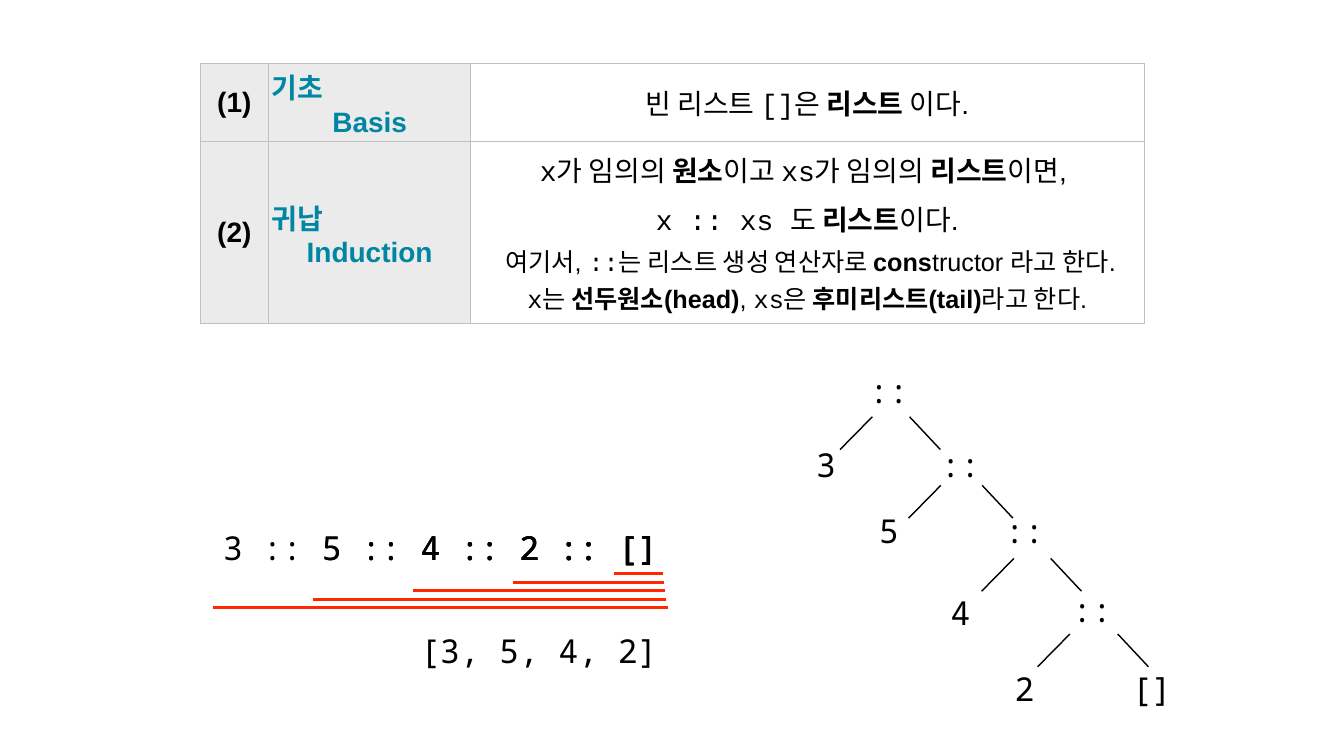
from lxml import etree
from pptx import Presentation
from pptx.dml.color import RGBColor
from pptx.enum.shapes import MSO_CONNECTOR
from pptx.enum.text import MSO_ANCHOR, MSO_AUTO_SIZE, PP_ALIGN
from pptx.oxml.ns import qn
from pptx.util import Inches, Pt

BLACK = RGBColor(0x00, 0x00, 0x00)
WHITE = RGBColor(0xFF, 0xFF, 0xFF)
GRAY = RGBColor(0xEB, 0xEB, 0xEB)
TEAL = RGBColor(0x00, 0x86, 0xA2)
RED = RGBColor(0xFF, 0x26, 0x00)
BORDER = RGBColor(0xC0, 0xC0, 0xC0)
LEFT, CENTER = PP_ALIGN.LEFT, PP_ALIGN.CENTER
MIDDLE = MSO_ANCHOR.MIDDLE
GROW = MSO_AUTO_SIZE.SHAPE_TO_FIT_TEXT
STRAIGHT = MSO_CONNECTOR.STRAIGHT
SANS, CODE, MONO = "Arial", "Courier New", "Noto Sans Mono"

presentation = Presentation()
presentation.slide_width = Inches(26.67)
presentation.slide_height = Inches(15)
slide = presentation.slides.add_slide(presentation.slide_layouts[6])


def add_run(paragraph, text, size, font, bold=False, color=BLACK):
    run = paragraph.add_run()
    run.text = text
    run.font.size = Pt(size)
    run.font.name = font
    run.font.bold = bold
    run.font.color.rgb = color


def add_line(x1, y1, x2, y2, color, width):
    line = slide.shapes.add_connector(
        STRAIGHT, Inches(x1), Inches(y1), Inches(x2), Inches(y2))
    line.line.color.rgb = color
    line.line.width = Pt(width)
    etree.SubElement(line._element.spPr, qn("a:effectLst"))


# Definition table: a cell is a list of (alignment, line spacing, runs),
# a run is (text, size, font, bold, colour)
definition_rows = [
    [
        [(CENTER, 1, [("(1)", 40, SANS, True)])],
        [(LEFT, 1, [("기초", 40, SANS, True, TEAL)]),
         (CENTER, 1, [("Basis", 40, SANS, True, TEAL)])],
        [(CENTER, 1, [("빈 리스트 ", 40, SANS), ("[]", 40, CODE), ("은 ", 40, SANS),
                      ("리스트", 40, SANS, True), (" 이다.", 40, SANS)])],
    ],
    [
        [(CENTER, 1, [("(2)", 40, SANS, True)])],
        [(LEFT, 1, [("귀납", 40, SANS, True, TEAL)]),
         (CENTER, 1, [("Induction", 40, SANS, True, TEAL)])],
        [(CENTER, 1, [("x", 40, CODE), ("가 임의의 ", 40, SANS), ("원소", 40, SANS, True),
                      ("이고 ", 40, SANS), ("xs", 40, CODE), ("가 임의의 ", 40, SANS),
                      ("리스트", 40, SANS, True), ("이면, ", 40, SANS)]),
         (CENTER, 1.2, [("x :: xs ", 40, CODE), ("도 ", 40, SANS),
                        ("리스트", 40, SANS, True), ("이다.", 40, SANS)]),
         (CENTER, 1, [(" ", 40, SANS), ("여기서, ", 36, SANS), ("::", 36, CODE),
                      ("는 리스트 생성 연산자로 ", 36, SANS), ("cons", 36, SANS, True),
                      ("tructor 라고 한다.", 36, SANS)]),
         (CENTER, 1, [("x", 36, CODE), ("는 ", 36, SANS),
                      ("선두원소(head)", 36, SANS, True), (", ", 36, SANS),
                      ("xs", 36, CODE), ("은 ", 36, SANS),
                      ("후미리스트(tail)", 36, SANS, True), ("라고 한다.", 36, SANS)])],
    ],
]
table = slide.shapes.add_table(
    2, 3, Inches(3.97), Inches(1.26), Inches(18.73), Inches(5.1)).table
table.first_row = False
table.horz_banding = False
for column, width in zip(table.columns, (1.36, 4.01, 13.36)):
    column.width = Inches(width)
for row, height in zip(table.rows, (1.48, 3.62)):
    row.height = Inches(height)

for row_index, cells in enumerate(definition_rows):
    for column_index, paragraphs in enumerate(cells):
        cell = table.cell(row_index, column_index)
        cell.vertical_anchor = MIDDLE
        cell.margin_left = cell.margin_right = Inches(0.06)
        cell.margin_top = cell.margin_bottom = Inches(0.06)
        properties = cell._tc.get_or_add_tcPr()
        for side in ("a:lnL", "a:lnR", "a:lnT", "a:lnB"):
            border = etree.SubElement(properties, qn(side), w=str(Pt(1)))
            border_fill = etree.SubElement(border, qn("a:solidFill"))
            etree.SubElement(border_fill, qn("a:srgbClr"), val=str(BORDER))
        cell.fill.solid()
        cell.fill.fore_color.rgb = WHITE if column_index == 2 else GRAY
        for index, (alignment, spacing, runs) in enumerate(paragraphs):
            frame = cell.text_frame
            paragraph = frame.add_paragraph() if index else frame.paragraphs[0]
            paragraph.alignment = alignment
            paragraph.line_spacing = spacing
            for run in runs:
                add_run(paragraph, *run)

# Every suffix of the list expression, right-aligned and underlined
elements = ["3", "5", "4", "2", "[]"]
labels = []
for step in range(len(elements)):
    width = 0.96 + 1.965 * step
    suffix = " :: ".join(elements[len(elements) - 1 - step:])
    labels.append((suffix, 13.15 - width, 10.4, width))
    underline_y = 11.38 + 0.17 * step
    add_line(12.18 - 1.99 * step, underline_y,
             13.15 + 0.025 * step, underline_y, RED, 4)
labels.append(("[3, 5, 4, 2]", 7.95, 12.44, 5.49))

# Tree: operator position, leaf with its position, branch start xs and y
tree_levels = [
    (17.05, 7.29, "3", 15.8, 8.76, 17.31, 18.05, 8.27),
    (18.47, 8.76, "5", 17.05, 10.07, 18.67, 19.49, 9.63),
    (19.74, 10.07, "4", 18.47, 11.69, 20.12, 20.85, 11.08),
    (21.08, 11.63, "2", 19.74, 13.19, 21.23, 22.18, 12.58),
]
for x, y, leaf, leaf_x, leaf_y, left_x, right_x, branch_y in tree_levels:
    labels.append(("::", x, y, 1.18))
    labels.append((leaf, leaf_x, leaf_y, 1.18))
    for start_x, offset in ((left_x, -0.64), (right_x, 0.61)):
        add_line(start_x, branch_y, start_x + offset, branch_y + 0.65, BLACK, 2)
labels.append(("[]", 22.38, 13.19, 0.96))

# Text boxes for the expressions and the tree nodes
for text, x, y, width in labels:
    box = slide.shapes.add_textbox(Inches(x), Inches(y), Inches(width), Inches(0.92))
    frame = box.text_frame
    frame.word_wrap = False
    frame.auto_size = GROW
    frame.vertical_anchor = MIDDLE
    frame.margin_left = frame.margin_right = Inches(0.08)
    frame.margin_top = frame.margin_bottom = Inches(0.08)
    frame.paragraphs[0].alignment = CENTER
    add_run(frame.paragraphs[0], text, 47, MONO)

presentation.save("out.pptx")
